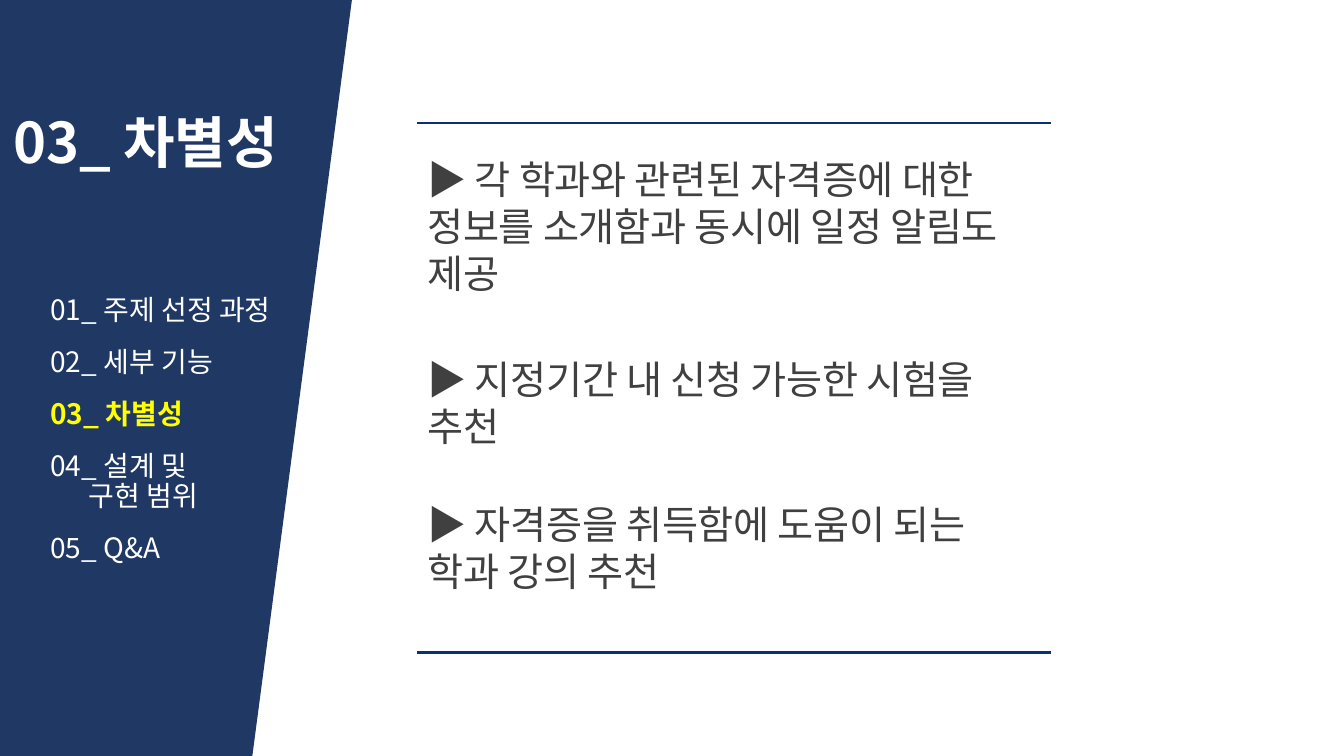
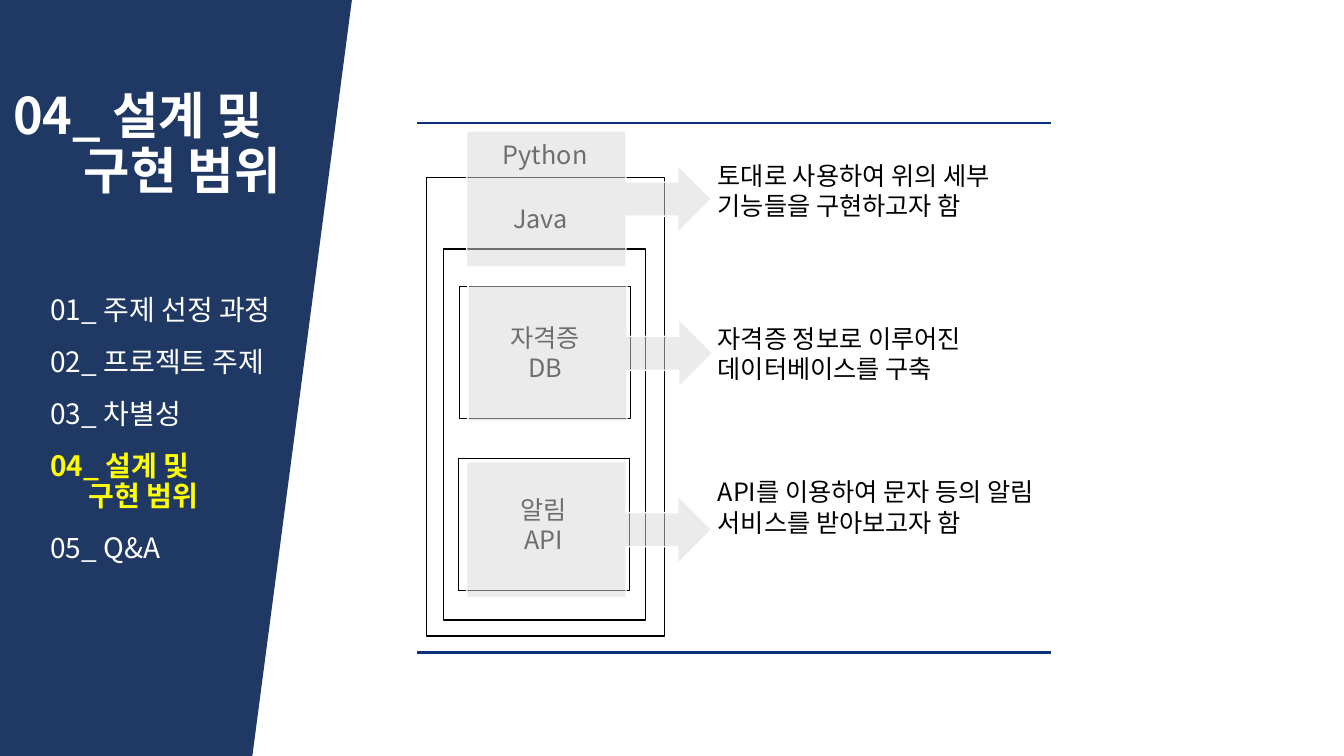
from lxml import etree
from pptx import Presentation
from pptx.dml.color import RGBColor
from pptx.enum.shapes import MSO_CONNECTOR, MSO_SHAPE
from pptx.enum.text import MSO_ANCHOR, MSO_AUTO_SIZE, PP_ALIGN
from pptx.oxml.ns import qn
from pptx.util import Inches, Pt

FONT = "Noto Sans CJK KR"
NAVY = RGBColor(0x20, 0x38, 0x64)
BLUE = RGBColor(0x09, 0x30, 0x79)
WHITE = RGBColor(0xFF, 0xFF, 0xFF)
YELLOW = RGBColor(0xFF, 0xFF, 0x00)
GRAY = RGBColor(0x40, 0x40, 0x40)
LIGHT = RGBColor(0xD9, 0xD9, 0xD9)
BLACK = RGBColor(0, 0, 0)
RECT = MSO_SHAPE.RECTANGLE
CALLOUT = MSO_SHAPE.RIGHT_ARROW_CALLOUT
STRAIGHT = MSO_CONNECTOR.STRAIGHT
TOP, MIDDLE = MSO_ANCHOR.TOP, MSO_ANCHOR.MIDDLE
LEFT, CENTER = PP_ALIGN.LEFT, PP_ALIGN.CENTER
NO_FIT = MSO_AUTO_SIZE.NONE

SCOPE = "04_ 설계 및\v구현 범위"
SLIDES = [
    ("03_ 차별성", 40, 2,
     ["01_ 주제 선정 과정", "02_ 세부 기능", "03_ 차별성", SCOPE, "05_ Q&A"]),
    (SCOPE, 36, 3,
     ["01_ 주제 선정 과정", "02_ 프로젝트 주제", "03_ 차별성", SCOPE, "05_ Q&A"]),
]
FEATURES = [
    ("▶ 각 학과와 관련된 자격증에 대한 정보를 소개함과 동시에 일정 알림도 제공", 0),
    ("▶ 지정기간 내 신청 가능한 시험을 추천", 42),
    ("▶ 자격증을 취득함에 도움이 되는 학과 강의 추천", 36),
]
FRAMES = [
    ((4.23, 1.76, 2.36, 4.55), 1, []),
    ((4.4, 2.47, 2, 3.68), 1, []),
    ((4.56, 2.84, 1.69, 1.31), 0.75, ["자격증", "DB"]),
    ((4.55, 4.55, 1.69, 1.31), 0.75, ["알림", "API"]),
]
LANGUAGES = [("Python", 4.89, 1.33), ("Java", 4.99, 1.97)]
PURPOSES = [
    (["토대로 사용하여 위의 세부 기능들을 구현하고자 함"], 1.54, 4.63, 1.3),
    (["자격증 정보로 이루어진", "데이터베이스를 구축"], 3.16, 4.64, 2.83),
    (["API를 이용하여 문자 등의 알림 서비스를 받아보고자 함"], 4.68, 4.63, 4.58),
]


def place(s, box):
    s.left, s.top, s.width, s.height = map(Inches, box)


def write(s, lines, size, color, anchor=TOP, align=LEFT):
    tf = s.text_frame
    tf.word_wrap = True
    tf.auto_size = NO_FIT
    tf.vertical_anchor = anchor
    for i, line in enumerate(lines):
        p = tf.paragraphs[0] if i == 0 else tf.add_paragraph()
        p.text = line
        p.alignment = align
        p.space_before = Pt(0)
        p.font.size = Pt(size)
        p.font.color.rgb = color
        p.font.name = FONT
        etree.SubElement(p.font._rPr, qn("a:ea"), typeface=FONT)
    return tf.paragraphs


def indent(p, hang=0):
    pPr = p._p.get_or_add_pPr()
    pPr.set("marL", str(Inches(hang)))
    pPr.set("indent", str(-Inches(hang)))
    pPr.insert_element_before(etree.Element(qn("a:buNone")), "a:defRPr")


def add_shape(slide, kind, box, fill, line, width):
    s = slide.shapes.add_shape(kind, *map(Inches, box))
    s.shadow.inherit = False
    s.fill.solid()
    s.fill.fore_color.rgb = fill
    s.line.color.rgb = line
    s.line.width = Pt(width)
    return s


def add_text(slide, box, lines):
    write(slide.shapes.add_textbox(*map(Inches, box)), lines, 18, BLACK)


def add_background(slide):
    tree = slide.slide_layout.shapes._spTree
    outline = slide.shapes.build_freeform(0, 0, scale=Inches(1) / 100)
    outline.add_line_segments([(349, 0), (250, 752), (0, 750)], close=True)
    band = outline.convert_to_shape()
    band.shadow.inherit = False
    band.fill.solid()
    band.fill.fore_color.rgb = NAVY
    band.line.fill.background()
    tree.append(band._element)
    for y in (1.22, 6.47):
        rule = slide.shapes.add_connector(
            STRAIGHT, Inches(4.14), Inches(y), Inches(10.42), Inches(y))
        rule.line.color.rgb = BLUE
        rule.line.width = Pt(2)
        etree.SubElement(rule._element.spPr, qn("a:effectLst"))
        tree.append(rule._element)


def add_slide(title, size, current, menu):
    slide = prs.slides.add_slide(layout)
    heading, nav, body = slide.placeholders
    place(heading, (0.03, 0.6, 3.46, 1.69))
    p = write(heading, [title], size, WHITE, MIDDLE)[0]
    p.font.bold = True
    p.line_spacing = 0.9
    indent(p, 0.7)
    place(nav, (0.4, 2.89, 3.18, 2.8))
    for i, p in enumerate(write(nav, menu, 20, WHITE)):
        p.line_spacing = 0.9
        p.space_before = Pt(15.5 if i else 0)
        indent(p, 0.38)
        if i == current:
            p.font.bold = True
            p.font.color.rgb = YELLOW
    return slide, body


prs = Presentation()
prs.slide_width, prs.slide_height = Inches(13.33), Inches(7.5)
layout = prs.slide_layouts.get_by_name("Two Content")

slide, body = add_slide(*SLIDES[0])
add_background(slide)
place(body, (4.14, 1.49, 6.28, 4.45))
for p, (text, gap) in zip(write(body, [f[0] for f in FEATURES], 28, GRAY), FEATURES):
    p.space_before = Pt(gap)
    p.font._rPr.set("spc", "-20")
    indent(p)

slide, body = add_slide(*SLIDES[1])
body._element.getparent().remove(body._element)
for box, width, label in FRAMES:
    frame = add_shape(slide, RECT, box, WHITE, BLACK, width)
    if label:
        write(frame, label, 18, BLACK, MIDDLE, CENTER)
for name, x, y in LANGUAGES:
    add_text(slide, (x, y, 1.4, 0.4), [name])
for lines, text_y, x, y in PURPOSES:
    add_text(slide, (7.02, text_y, 3.4, 0.71), lines)
    callout = add_shape(slide, CALLOUT, (x, y, 2.43, 1.35), LIGHT, WHITE, 1)
    color = callout.fill._xPr.find(qn("a:solidFill"))[0]
    etree.SubElement(color, qn("a:alpha"), val="51000")

prs.save("out.pptx")
